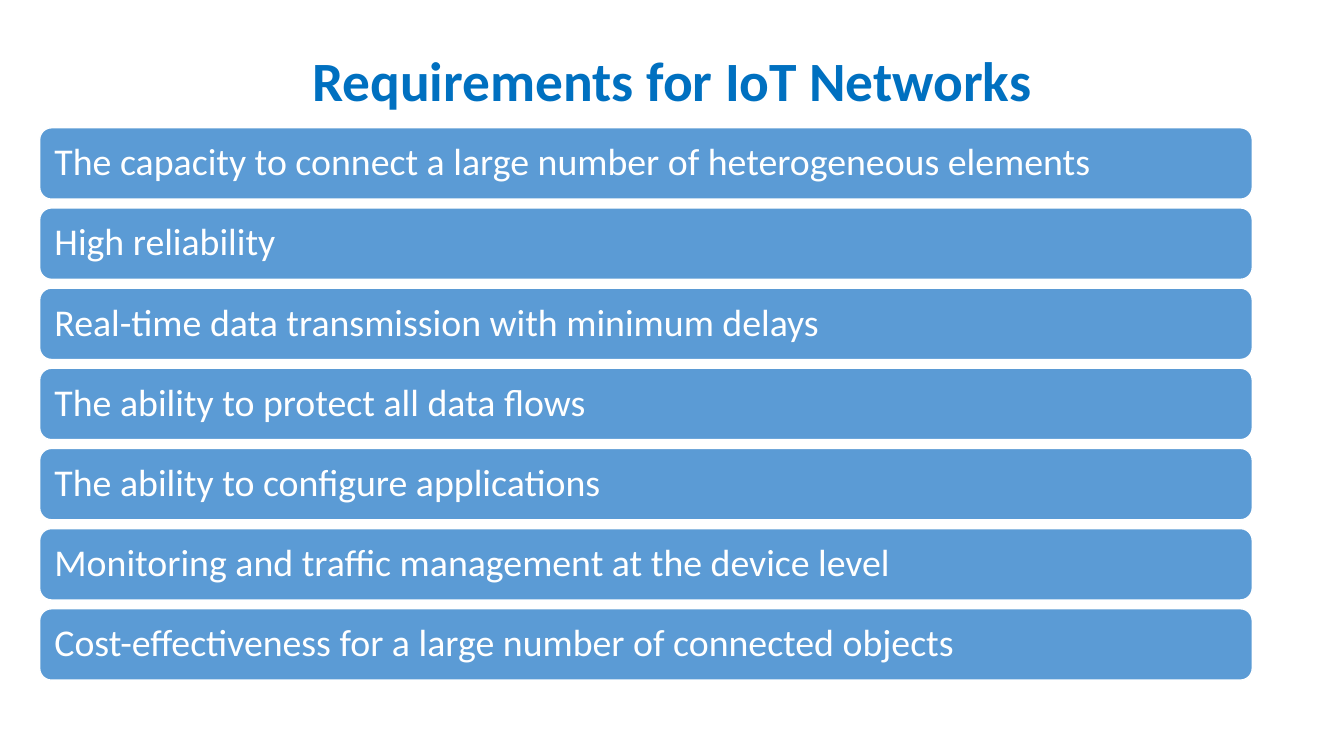
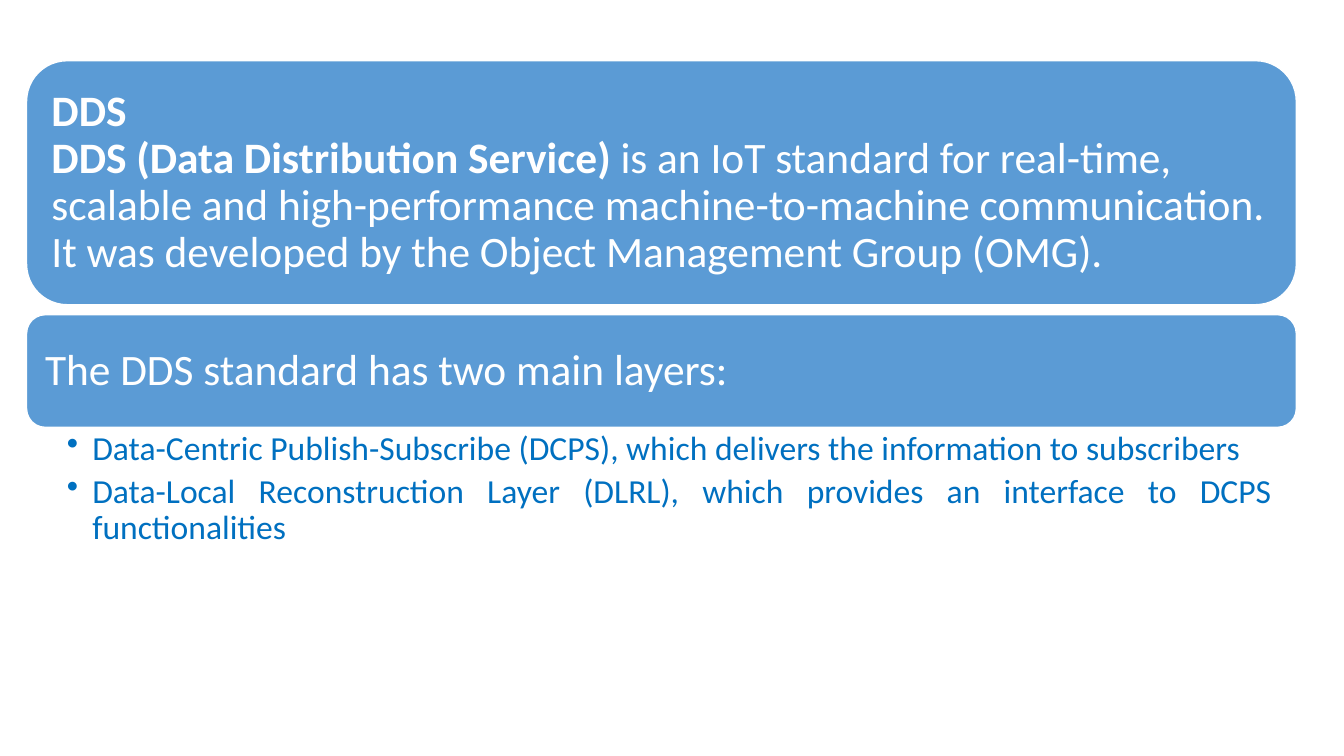
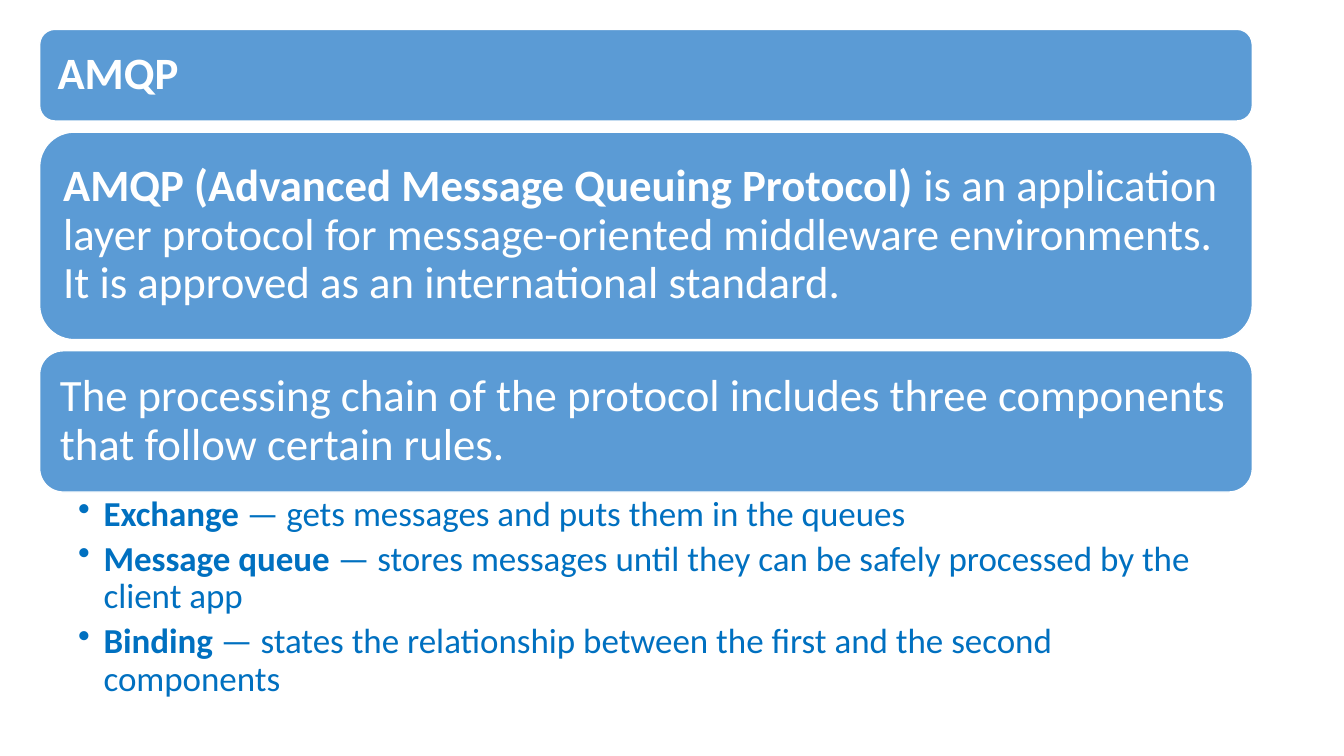
from dataclasses import dataclass

from lxml import etree
from pptx import Presentation
from pptx.dml.color import RGBColor
from pptx.enum import shapes, text
from pptx.oxml import ns
from pptx.util import Cm, Pt

# Shared style
FONT = "Calibri"
BLUE, BAR_BLUE, WHITE = "0070C0", "5B9BD5", "FFFFFF"
LINE_SPACING = 0.9
CM_PER_POINT = 2.54 / 72
BULLET_INDENT = 0.64


@dataclass(frozen=True)
class Span:
    words: str
    bold: bool = False
    break_after: bool = False


@dataclass(frozen=True)
class Bar:
    height: float
    spans: tuple[Span, ...]


@dataclass(frozen=True)
class BulletList:
    height: float
    size: float
    items: tuple[tuple[Span, ...], ...]
    align: text.PP_ALIGN = text.PP_ALIGN.LEFT


@dataclass(frozen=True)
class Page:
    left: float
    top: float
    width: float
    gap: float
    size: float
    bars: tuple[Bar, ...]
    title: str = ""
    bullets: BulletList | None = None


def colour(value: str) -> RGBColor:
    return RGBColor.from_string(value)


def write(paragraph, spans: tuple[Span, ...], size: float, ink: str,
          align: text.PP_ALIGN = text.PP_ALIGN.LEFT) -> None:
    paragraph.alignment = align
    paragraph.line_spacing = LINE_SPACING
    for span in spans:
        run = paragraph.add_run()
        run.text = span.words
        run.font.name = FONT
        run.font.size = Pt(size)
        run.font.bold = span.bold
        run.font.color.rgb = colour(ink)
        if span.break_after:
            paragraph.add_line_break()


def set_up_frame(shape, anchor: text.MSO_ANCHOR, left: float, top: float,
                 right: float, bottom: float):
    frame = shape.text_frame
    frame.word_wrap = True
    frame.vertical_anchor = anchor
    frame.margin_left, frame.margin_top = Cm(left), Cm(top)
    frame.margin_right, frame.margin_bottom = Cm(right), Cm(bottom)
    return frame


def add_title(slide, words: str) -> None:
    shape = slide.shapes.add_textbox(Cm(2.33), Cm(1.02), Cm(29.21), Cm(2.16))
    frame = set_up_frame(shape, text.MSO_ANCHOR.MIDDLE, 0.25, 0.13, 0.25, 0.13)
    write(frame.paragraphs[0], (Span(words, bold=True),), 39.6, BLUE,
          text.PP_ALIGN.CENTER)


def add_bar(slide, page: Page, bar: Bar, top: float) -> None:
    shape = slide.shapes.add_shape(
        shapes.MSO_SHAPE.ROUNDED_RECTANGLE,
        Cm(page.left), Cm(top), Cm(page.width), Cm(bar.height))
    shape.shadow.inherit = False
    shape.fill.solid()
    shape.fill.fore_color.rgb = colour(BAR_BLUE)
    shape.line.color.rgb = colour(WHITE)
    shape.line.width = Pt(1)
    inset = 0.3 * page.size * CM_PER_POINT
    frame = set_up_frame(shape, text.MSO_ANCHOR.MIDDLE, inset, inset, inset, inset)
    write(frame.paragraphs[0], bar.spans, page.size, WHITE)


def add_bullets(slide, page: Page, bullets: BulletList, top: float) -> None:
    shape = slide.shapes.add_textbox(
        Cm(page.left), Cm(top), Cm(page.width), Cm(bullets.height))
    frame = set_up_frame(shape, text.MSO_ANCHOR.TOP,
                         page.width * 0.03175, 0.1, 0.62, 0.1)
    for index, spans in enumerate(bullets.items):
        paragraph = frame.add_paragraph() if index else frame.paragraphs[0]
        write(paragraph, spans, bullets.size, BLUE, bullets.align)
        paragraph.space_after = Pt(bullets.size * 0.2)
        properties = paragraph._p.get_or_add_pPr()
        properties.set("marL", str(Cm(BULLET_INDENT)))
        properties.set("indent", str(-Cm(BULLET_INDENT)))
        etree.SubElement(properties, ns.qn("a:buChar")).set("char", "•")


def add_page(presentation, page: Page) -> None:
    slide = presentation.slides.add_slide(presentation.slide_layouts[6])
    if page.title:
        add_title(slide, page.title)
    top = page.top
    for bar in page.bars:
        add_bar(slide, page, bar, top)
        top += bar.height + page.gap
    if page.bullets:
        add_bullets(slide, page, page.bullets, top - page.gap)


# Content
REQUIREMENTS = (
    "The capacity to connect a large number of heterogeneous elements",
    "High reliability",
    "Real-time data transmission with minimum delays",
    "The ability to protect all data flows",
    "The ability to configure applications",
    "Monitoring and traffic management at the device level",
    "Cost-effectiveness for a large number of connected objects",
)

PAGES = (
    Page(left=1, top=3.22, width=30.56, gap=0.22, size=27,
         title="Requirements for IoT Networks",
         bars=tuple(Bar(1.8, (Span(words),)) for words in REQUIREMENTS)),
    Page(left=0.67, top=1.53, width=32, gap=0.25, size=31,
         bars=(
             Bar(6.15, (
                 Span("DDS", bold=True, break_after=True),
                 Span("DDS (Data Distribution Service)", bold=True),
                 Span(" is an IoT standard for real-time, scalable and "
                      "high-performance machine-to-machine communication. "
                      "It was developed by the Object Management Group (OMG)."))),
             Bar(2.84, (Span("The DDS standard has two main layers:"),)),
         ),
         bullets=BulletList(3.3, 24, (
             (Span("Data-Centric Publish-Subscribe (DCPS), which delivers "
                   "the information to subscribers"),),
             (Span("Data-Local Reconstruction Layer (DLRL), which provides "
                   "an interface to DCPS functionalities"),),
         ), text.PP_ALIGN.JUSTIFY)),
    Page(left=1, top=0.74, width=30.56, gap=0.28, size=32,
         bars=(
             Bar(2.31, (Span("AMQP", bold=True),)),
             Bar(5.23, (
                 Span("AMQP (Advanced Message Queuing Protocol)", bold=True),
                 Span(" is an application layer protocol for message-oriented "
                      "middleware environments. It is approved as an "
                      "international standard."))),
             Bar(3.56, (Span("The processing chain of the protocol includes "
                             "three components that follow certain rules."),)),
         ),
         bullets=BulletList(5.97, 25, (
             (Span("Exchange", bold=True),
              Span(" — gets messages and puts them in the queues")),
             (Span("Message queue ", bold=True),
              Span("— stores messages until they can be safely processed "
                   "by the client app")),
             (Span("Binding", bold=True),
              Span(" — states the relationship between the first and the "
                   "second components")),
         ))),
)


def main() -> None:
    presentation = Presentation()
    presentation.slide_width, presentation.slide_height = Cm(33.87), Cm(19.05)
    for page in PAGES:
        add_page(presentation, page)
    presentation.save("out.pptx")


if __name__ == "__main__":
    main()
